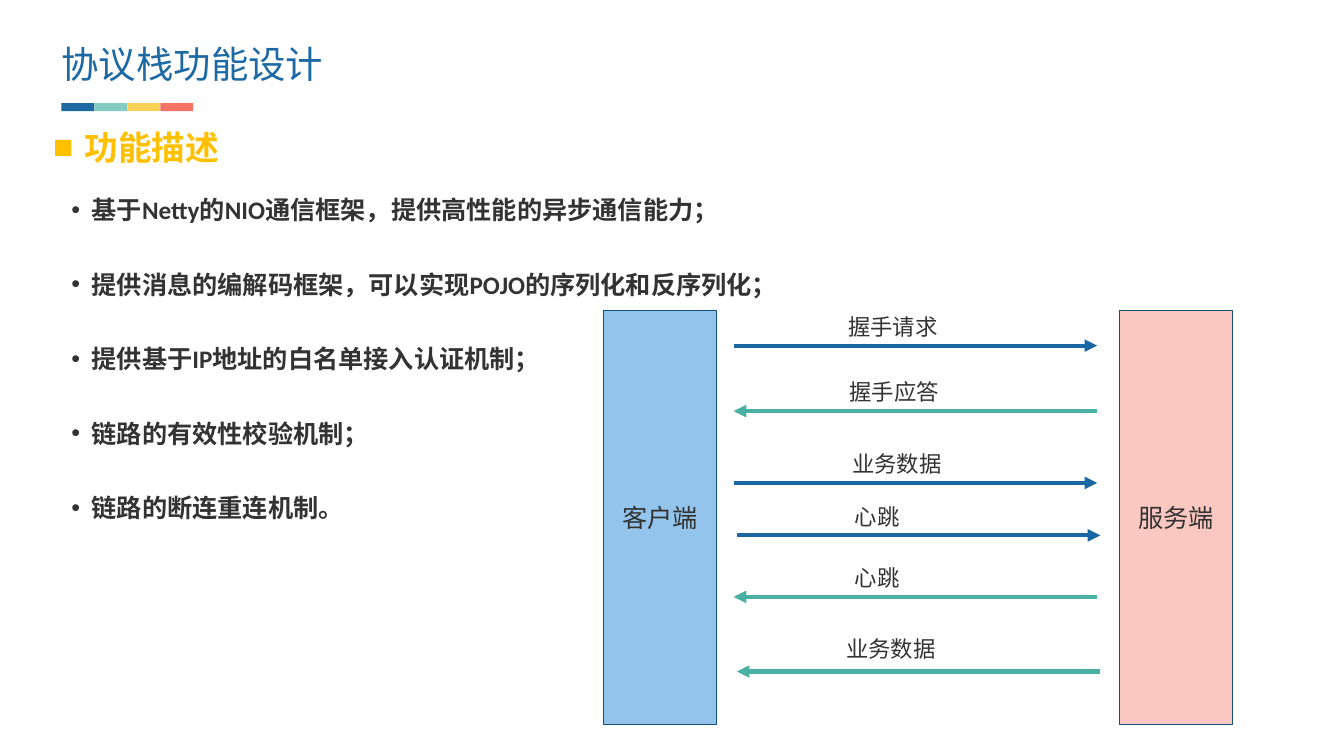
import pptx
import pptx.util
import pptx.dml.color
import pptx.enum.shapes
import pptx.enum.text
import pptx.oxml.ns
import lxml.etree

Cm = pptx.util.Cm
Pt = pptx.util.Pt
RECT = pptx.enum.shapes.MSO_SHAPE.RECTANGLE
LINE = pptx.enum.shapes.MSO_CONNECTOR.STRAIGHT
ALIGN = pptx.enum.text.PP_ALIGN
MIDDLE = pptx.enum.text.MSO_ANCHOR.MIDDLE

SANS, BODY = "Noto Sans CJK SC", "Calibri"
BLUE, INK, GOLD, EDGE = "1D69A3", "333333", "FFC000", "154E79"

TITLE = "协议栈功能设计"
HEAD = "功能描述"
STRIPES = [BLUE, "84CBC3", "F8D158", "F57365"]
POINTS = [
    "基于Netty的NIO通信框架，提供高性能的异步通信能力；",
    "提供消息的编解码框架，可以实现POJO的序列化和反序列化；",
    "提供基于IP地址的白名单接入认证机制；",
    "链路的有效性校验机制；",
    "链路的断连重连机制。",
]
PEERS = [("客户端", 15.21, "93C5EC"), ("服务端", 28.22, "FBC7C1")]
SEND, REPLY = "1967A3", "4BB1A5"
# label, colour, line left, line height, label left, label top
FLOWS = [
    ("握手请求", SEND, 18.49, 8.71, 21.13, 7.77),
    ("握手应答", REPLY, 18.49, 10.36, 21.16, 9.4),
    ("业务数据", SEND, 18.49, 12.17, 21.23, 11.23),
    ("心跳", SEND, 18.57, 13.49, 21.29, 12.55),
    ("心跳", REPLY, 18.49, 15.04, 21.29, 14.1),
    ("业务数据", REPLY, 18.57, 16.92, 21.08, 15.88),
]
SPAN = 9.16


def color(code):
    return pptx.dml.color.RGBColor.from_string(code)


def child(node, tag, **attrs):
    return lxml.etree.SubElement(node, pptx.oxml.ns.qn(tag), attrs)


def style(para, face, size, code, bold=False):
    font = para.font
    font.name, font.size, font.bold = face, Pt(size), bold
    font.color.rgb = color(code)
    child(font._element, "a:ea", typeface=SANS)


def bullet(para, mark, indent):
    props = para._p.get_or_add_pPr()
    props.set("marL", str(Cm(indent)))
    props.set("indent", str(-Cm(indent)))
    child(props, "a:buFont", typeface="Arial")
    child(props, "a:buChar", char=mark)


def box(slide, left, top, width, height):
    shape = slide.shapes.add_textbox(Cm(left), Cm(top), Cm(width), Cm(height))
    shape.text_frame.word_wrap = True
    return shape.text_frame


def rect(slide, left, top, width, height, fill):
    shape = slide.shapes.add_shape(RECT, Cm(left), Cm(top), Cm(width), Cm(height))
    shape.shadow.inherit = False
    shape.fill.solid()
    shape.fill.fore_color.rgb = color(fill)
    shape.line.fill.background()
    return shape


def arrow(slide, start, end, y, code):
    line = slide.shapes.add_connector(LINE, Cm(start), Cm(y), Cm(end), Cm(y))
    line.line.color.rgb = color(code)
    line.line.width = Pt(3)
    child(line.line._get_or_add_ln(), "a:tailEnd", type="triangle")
    child(line._element.spPr, "a:effectLst")


def main():
    deck = pptx.Presentation()
    deck.slide_width, deck.slide_height = Cm(33.87), Cm(19.05)
    slide = deck.slides.add_slide(deck.slide_layouts[6])

    for i, fill in enumerate(STRIPES):
        rect(slide, 1.55 + i * 0.83, 2.6, 0.83, 0.2, fill)

    frame = box(slide, 1.55, 1.04, 10.29, 1.14)
    frame.margin_left = frame.margin_right = 0
    frame.margin_top = frame.margin_bottom = 0
    frame.text = TITLE
    style(frame.paragraphs[0], SANS, 26.7, BLUE)

    frame = box(slide, 1.55, 4.6, 19.02, 8.92)
    for i, text in enumerate(POINTS):
        para = frame.add_paragraph() if i else frame.paragraphs[0]
        para.text = text
        para.line_spacing = Pt(26.6)
        if i:
            para.space_before = Pt(26.6)
        bullet(para, "•", 0.51)
        style(para, BODY, 18, INK, True)

    frame = box(slide, 1.09, 3.07, 6.71, 1.27)
    frame.text = HEAD
    bullet(frame.paragraphs[0], "■", 0.79)
    style(frame.paragraphs[0], BODY, 24, GOLD, True)

    for name, left, fill in PEERS:
        peer = rect(slide, left, 7.82, 2.84, 10.44, fill)
        peer.line.color.rgb = color(EDGE)
        peer.line.width = Pt(0.5)
        frame = peer.text_frame
        frame.text = name
        frame.vertical_anchor = MIDDLE
        frame.paragraphs[0].alignment = ALIGN.CENTER
        style(frame.paragraphs[0], BODY, 18, INK)

    for name, code, left, y, x, top in FLOWS:
        ends = (left, left + SPAN) if code == SEND else (left + SPAN, left)
        arrow(slide, *ends, y, code)
        frame = box(slide, x, top, 3.81, 0.94)
        frame.text = name
        style(frame.paragraphs[0], SANS, 16, INK)

    deck.save("out.pptx")


if __name__ == "__main__":
    main()
